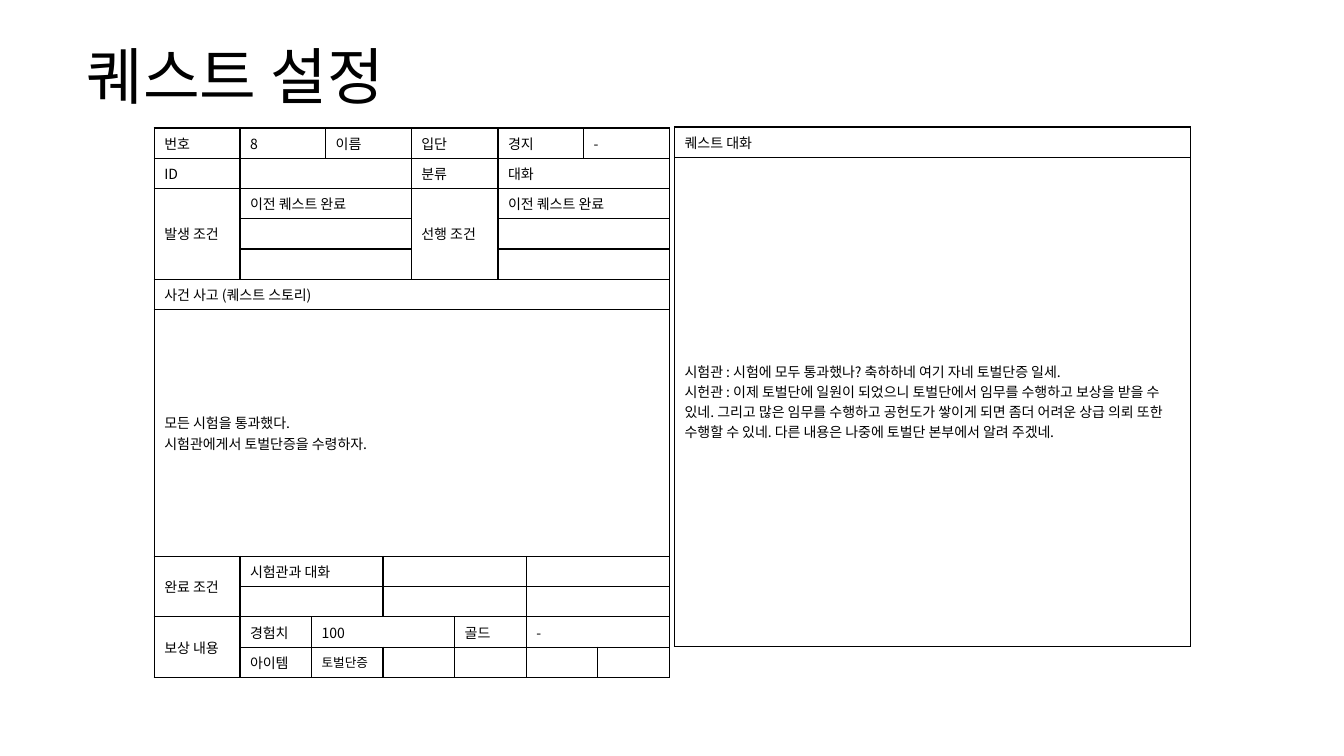
from lxml.etree import SubElement
from pptx import Presentation
from pptx.dml.color import RGBColor
from pptx.enum.text import MSO_ANCHOR as Anchor
from pptx.oxml import parse_xml
from pptx.oxml.ns import nsdecls, qn
from pptx.util import Inches, Pt

FONT = "Noto Sans CJK KR"
COLORS = {"ink": "000000", "border": "000000"}
TITLE = "퀘스트 설정"
ROW = 0.3
SMALL_TEXTS = {"토벌단증": 9}

# Each cell is text, columns, rows; None passes over columns already taken.
QUEST_ROWS = [
    [("번호", 1, 1), ("8", 2, 1), ("이름", 2, 1), ("입단", 2, 1), ("경지", 2, 1), ("-", 2, 1)],
    [("ID", 1, 1), ("", 4, 1), ("분류", 2, 1), ("대화", 4, 1)],
    [("발생 조건", 1, 3), ("이전 퀘스트 완료", 4, 1), ("선행 조건", 2, 3), ("이전 퀘스트 완료", 4, 1)],
    [(None, 1, 1), ("", 4, 1), (None, 2, 1), ("", 4, 1)],
    [(None, 1, 1), ("", 4, 1), (None, 2, 1), ("", 4, 1)],
    [("사건 사고 (퀘스트 스토리)", 11, 1)],
    [("모든 시험을 통과했다.\n시험관에게서 토벌단증을 수령하자.", 11, 1)],
    [("완료 조건", 1, 2), ("시험관과 대화", 3, 1), ("", 4, 1), ("", 3, 1)],
    [(None, 1, 1), ("", 3, 1), ("", 4, 1), ("", 3, 1)],
    [("보상 내용", 1, 2), ("경험치", 1, 1), ("100", 4, 1), ("골드", 2, 1), ("-", 3, 1)],
    [(None, 1, 1), ("아이템", 1, 1), ("토벌단증", 2, 1), ("", 2, 1), ("", 2, 1), ("", 2, 1), ("", 1, 1)],
]
DIALOGUE_ROWS = [
    [("퀘스트 대화", 1, 1)],
    [("시험관 : 시험에 모두 통과했나? 축하하네 여기 자네 토벌단증 일세.\n"
      "시헌관 : 이제 토벌단에 일원이 되었으니 토벌단에서 임무를 수행하고 보상을 받을 수 있네. "
      "그리고 많은 임무를 수행하고 공헌도가 쌓이게 되면 좀더 어려운 상급 의뢰 또한 수행할 수 있네. "
      "다른 내용은 나중에 토벌단 본부에서 알려 주겠네.", 1, 1)],
]
TABLES = [
    (1.53, 1.27, [0.85, 0.71, 0.14, 0.57, 0.28, 0.43, 0.43, 0.28, 0.57, 0.14, 0.71],
     [ROW] * 6 + [2.45] + [ROW] * 4, QUEST_ROWS),
    (6.69, 1.26, [5.12], [ROW, 4.85], DIALOGUE_ROWS),
]


def style_paragraph(p, size):
    p.font.size = Pt(size)
    p.font.bold = False
    p.font.name = FONT
    p.font.color.rgb = RGBColor.from_string(COLORS["ink"])
    props = p._p.pPr.find(qn("a:defRPr"))
    SubElement(props, qn("a:ea")).set("typeface", FONT)
    if not p.runs:
        SubElement(p._p, qn("a:endParaRPr")).set("sz", str(size * 100))


def style_cell(cell):
    cell.vertical_anchor = Anchor.MIDDLE
    cell.fill.background()
    for i, side in enumerate(("lnL", "lnR", "lnT", "lnB")):
        cell._tc.tcPr.insert(i, parse_xml(
            f'<a:{side} {nsdecls("a")} w="12700"><a:solidFill>'
            f'<a:srgbClr val="{COLORS["border"]}"/></a:solidFill></a:{side}>'))
    for p in cell.text_frame.paragraphs:
        style_paragraph(p, SMALL_TEXTS.get(cell.text, 10))


def add_grid(s, left, top, widths, heights, rows):
    table = s.shapes.add_table(
        len(heights), len(widths), Inches(left), Inches(top),
        Inches(sum(widths)), Inches(sum(heights))).table
    table.first_row = table.horz_banding = False
    for column, width in zip(table.columns, widths):
        column.width = Inches(width)
    for row, height in zip(table.rows, heights):
        row.height = Inches(height)
    for r, cells in enumerate(rows):
        c = 0
        for text, cols, depth in cells:
            if text is not None:
                cell = table.cell(r, c)
                cell.text = text
                if cols * depth > 1:
                    cell.merge(table.cell(r + depth - 1, c + cols - 1))
            c += cols
    for cell in table.iter_cells():
        style_cell(cell)


def main():
    prs = Presentation()
    prs.slide_width, prs.slide_height = Inches(13.33), Inches(7.5)
    s = prs.slides.add_slide(prs.slide_layouts[6])
    tf = s.shapes.add_textbox(Inches(0.76), Inches(0.32), Inches(11.81), Inches(0.94)).text_frame
    tf.word_wrap = True
    tf.vertical_anchor = Anchor.MIDDLE
    p = tf.paragraphs[0]
    p.text = TITLE
    p.line_spacing = 0.9
    style_paragraph(p, 44)
    for table in TABLES:
        add_grid(s, *table)
    prs.save("out.pptx")


if __name__ == "__main__":
    main()
